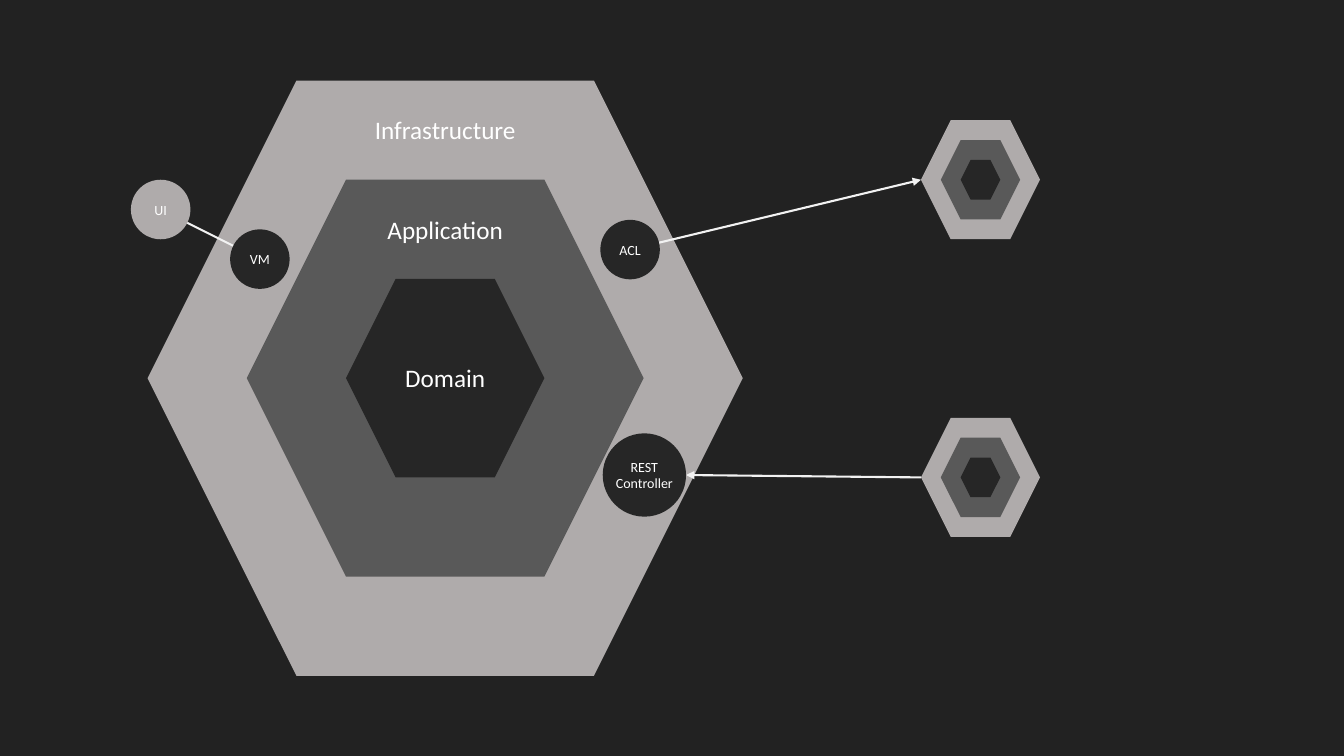
from lxml import etree
from pptx import Presentation
from pptx.dml.color import RGBColor
from pptx.enum.shapes import MSO_CONNECTOR, MSO_SHAPE
from pptx.enum.text import MSO_ANCHOR, MSO_AUTO_SIZE, PP_ALIGN
from pptx.oxml.ns import qn
from pptx.util import Cm, Pt

HEXAGON, CIRCLE = MSO_SHAPE.HEXAGON, MSO_SHAPE.OVAL
STRAIGHT = MSO_CONNECTOR.STRAIGHT
MIDDLE, CENTER = MSO_ANCHOR.MIDDLE, PP_ALIGN.CENTER
FIT_SHAPE = MSO_AUTO_SIZE.SHAPE_TO_FIT_TEXT

COLORS = {
    "background": "222222",
    "infrastructure": "AFABAB",
    "application": "595959",
    "domain": "262626",
    "text": "FFFFFF",
    "link": "F2F2F2",
}
LAYERS = ("infrastructure", "application", "domain")
FONT = "Calibri"


def color(name):
    return RGBColor.from_string(COLORS[name])


def write(frame, text, size):
    paragraph = frame.paragraphs[0]
    paragraph.alignment = CENTER
    run = paragraph.add_run()
    run.text = text
    run.font.name = FONT
    run.font.size = Pt(size)
    run.font.color.rgb = color("text")


def add_centered(shapes, kind, center, size, fill):
    """Add a square-bounded shape around a centre point, in centimetres."""
    x, y = center
    shape = shapes.add_shape(kind, Cm(x - size / 2), Cm(y - size / 2), Cm(size), Cm(size))
    shape.shadow.inherit = False
    shape.fill.solid()
    shape.fill.fore_color.rgb = color(fill)
    shape.line.fill.background()
    return shape


def add_system(slide, center, size):
    """Add a group of three nested hexagons, each a third smaller in steps."""
    group = slide.shapes.add_group_shape()
    for step, layer in enumerate(LAYERS):
        add_centered(group.shapes, HEXAGON, center, size * (3 - step) / 3, layer)


def add_layer_label(slide, text, center, width):
    x, y = center
    height = 1.03
    label = slide.shapes.add_textbox(Cm(x - width / 2), Cm(y - height / 2), Cm(width), Cm(height))
    label.text_frame.word_wrap = False
    label.text_frame.auto_size = FIT_SHAPE
    write(label.text_frame, text, 18)


def add_adapter(slide, text, center, size=1.5, fill="domain"):
    adapter = add_centered(slide.shapes, CIRCLE, center, size, fill)
    frame = adapter.text_frame
    frame.word_wrap = True
    frame.vertical_anchor = MIDDLE
    frame.margin_left = frame.margin_right = frame.margin_top = frame.margin_bottom = 0
    write(frame, text, 10)


def add_link(slide, start, end, arrow=False):
    link = slide.shapes.add_connector(STRAIGHT, *(Cm(value) for value in (*start, *end)))
    link.line.color.rgb = color("link")
    link.line.width = Pt(1.5)
    if arrow:
        etree.SubElement(link.line._get_or_add_ln(), qn("a:tailEnd"), type="triangle")
    etree.SubElement(link._element.spPr, qn("a:effectLst"))


def main():
    presentation = Presentation()
    presentation.slide_width, presentation.slide_height = Cm(33.87), Cm(19.05)
    slide = presentation.slides.add_slide(presentation.slide_layouts[6])
    slide.background.fill.solid()
    slide.background.fill.fore_color.rgb = color("background")

    core_x, core_y = core = (11.22, 9.53)
    core_size, remote_size, rest_size = 15, 3, 2.1
    remote_x, called_y, caller_y = 24.71, 4.53, 12.03
    ui, view_model, acl, rest = (4.05, 5.28), (6.55, 6.53), (15.88, 6.29), (16.24, 11.97)

    add_system(slide, core, core_size)
    band = core_size / 6
    label_y = core_y - core_size / 2 + band / 2
    add_layer_label(slide, "Infrastructure", (core_x, label_y), 4.1)
    add_layer_label(slide, "Application", (core_x, label_y + band), 3.45)
    add_layer_label(slide, "Domain", core, 2.55)

    for remote_y in (called_y, caller_y):
        add_system(slide, (remote_x, remote_y), remote_size)

    remote_left = remote_x - remote_size / 2
    add_link(slide, ui, view_model)
    add_link(slide, acl, (remote_left, called_y), arrow=True)
    add_link(slide, (remote_left, caller_y), (rest[0] + rest_size / 2, rest[1]), arrow=True)

    add_adapter(slide, "UI", ui, fill="infrastructure")
    add_adapter(slide, "VM", view_model)
    add_adapter(slide, "ACL", acl)
    add_adapter(slide, "REST Controller", rest, rest_size)

    presentation.save("out.pptx")


if __name__ == "__main__":
    main()
